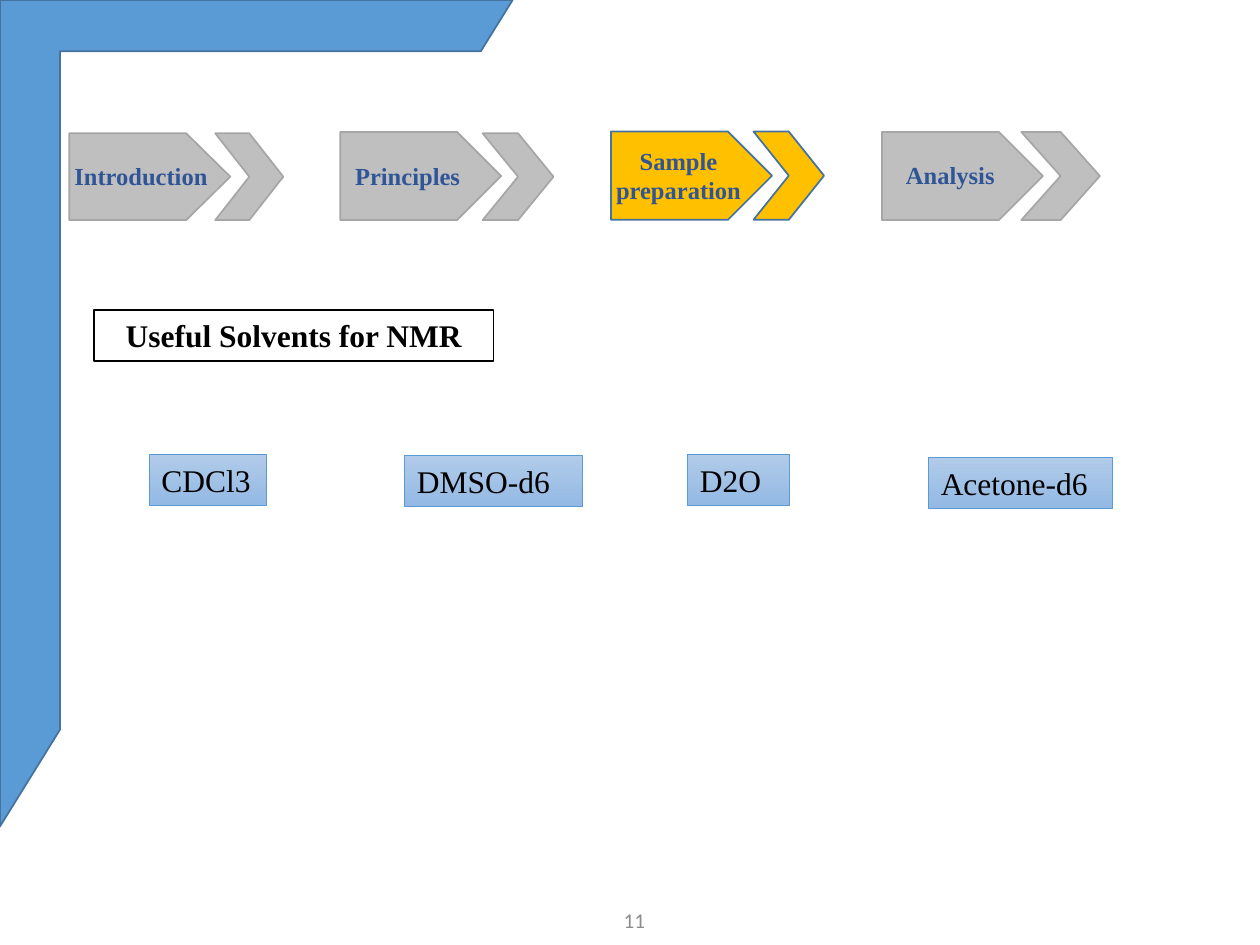
from dataclasses import dataclass

from pptx import Presentation
from pptx.dml.color import RGBColor
from pptx.enum.shapes import MSO_SHAPE
from pptx.enum.text import MSO_ANCHOR, MSO_AUTO_SIZE, PP_ALIGN
from pptx.util import Pt


@dataclass(frozen=True)
class Theme:
    serif: str = "Times New Roman"
    sans: str = "Calibri"
    blue: str = "5B9BD5"
    blue_edge: str = "43739E"
    grey: str = "BFBFBF"
    grey_edge: str = "A6A6A6"
    active: str = "FFC000"
    label: str = "2F5597"
    black: str = "000000"
    white: str = "FFFFFF"
    muted: str = "8C8C8C"
    solvent_top: str = "B1CBE9"
    solvent_bottom: str = "93B9E4"
    heading_size: int = 18
    label_size: int = 14
    number_size: int = 12


THEME = Theme()


def rgb(value):
    return RGBColor.from_string(value)


def paint(shape, fill, line, width=1):
    shape.fill.solid()
    shape.fill.fore_color.rgb = rgb(fill)
    outline(shape, line, width)


def outline(shape, color, width):
    shape.line.color.rgb = rgb(color)
    shape.line.width = Pt(width)


def add_shape(slide, kind, box):
    shape = slide.shapes.add_shape(kind, *map(Pt, box))
    shape.shadow.inherit = False
    return shape


def write(shape, text, size, color, font=THEME.serif, bold=False, align=PP_ALIGN.CENTER):
    tf = shape.text_frame
    tf.word_wrap = True
    tf.auto_size = MSO_AUTO_SIZE.NONE
    tf.vertical_anchor = MSO_ANCHOR.MIDDLE
    if align == PP_ALIGN.LEFT:
        tf.margin_right = 0
    p = tf.paragraphs[0]
    p.text = text
    p.alignment = align
    p.font.name = font
    p.font.size = Pt(size)
    p.font.bold = bold
    p.font.color.rgb = rgb(color)


def add_text(slide, box, *args, **kwargs):
    write(slide.shapes.add_textbox(*map(Pt, box)), *args, **kwargs)


def pentagon_points(x, y, w, bottom):
    middle = (y + bottom) / 2
    shoulder = x + w - 25.2
    return [(shoulder, y), (x, y), (x, bottom), (shoulder, bottom), (x + w, middle)]


def chevron_points(x, y, w, bottom):
    middle = (y + bottom) / 2
    notch = x + w / 2
    return [(notch, y), (x, y), (notch, middle), (x, bottom), (notch, bottom), (x + w, middle)]


def add_outline(slide, contours):
    """Draw all contours, given in points, as one freeform."""
    first, *others = [[(Pt(x), Pt(y)) for x, y in points] for points in contours]
    builder = slide.shapes.build_freeform(*first[0])
    builder.add_line_segments(first[1:], close=True)
    for points in others:
        builder.move_to(*points[0])
        builder.add_line_segments(points[1:], close=True)
    shape = builder.convert_to_shape()
    shape.shadow.inherit = False
    return shape


def add_progress(slide, box):
    """Four steps at an equal pitch; the grey ones form a single outline."""
    left, top, width, height = box
    pitch, step_w = 154.8, 92
    bottom = top + height
    # step: pentagon drop, chevron offset, drop and width, active
    steps = [(0.8, 83.4, 0.8, 38.9, False), (0, 81.4, 0.8, 40.5, False),
             (0, 81.4, 0, 40.3, True), (0, 79.6, 0, 44.9, False)]
    contours = []
    for i, (drop, offset, chevron_drop, chevron_w, active) in enumerate(steps):
        x = left + i * pitch
        if active:
            for kind, dx, w in ((MSO_SHAPE.PENTAGON, 0, step_w),
                                (MSO_SHAPE.CHEVRON, offset, chevron_w)):
                paint(add_shape(slide, kind, (x + dx, top - 0.2, w, height)),
                      THEME.active, THEME.blue_edge)
        else:
            contours += [pentagon_points(x, top + drop, step_w, bottom),
                         chevron_points(x + offset, top + chevron_drop, chevron_w, bottom)]
    paint(add_outline(slide, contours), THEME.grey, THEME.grey_edge)

    # label: offset from the progress box, size, alignment
    labels = [("Introduction", -4.2, 12.7, 90.7, 24.5, PP_ALIGN.LEFT),
              ("Principles", 153.4, 12.7, 79.9, 24.5, PP_ALIGN.CENTER),
              ("Sample preparation", 301.7, 4.3, 92.9, 41, PP_ALIGN.CENTER),
              ("Analysis", 471, 12.2, 82.8, 24.5, PP_ALIGN.LEFT)]
    for text, dx, dy, w, h, align in labels:
        add_text(slide, (left + dx, top + dy, w, h), text, THEME.label_size,
                 THEME.label, bold=True, align=align)


def add_corner_frame(slide, box):
    frame = add_shape(slide, MSO_SHAPE.HALF_FRAME, box)
    frame.adjustments[0] = 0.1
    frame.adjustments[1] = 0.117
    paint(frame, THEME.blue, THEME.blue_edge)


def place_heading(slide, box, text):
    title = slide.shapes.title
    title.left, title.top, title.width, title.height = map(Pt, box)
    paint(title, THEME.white, THEME.black)
    write(title, text, THEME.heading_size, THEME.black, bold=True)


def add_solvents(slide, box):
    left, top, width, height = box
    solvents = [("CDCl3", 0, 0, 67), ("DMSO-d6", 146, 0.6, 101.4),
                ("D2O", 307.7, 0, 58.5), ("Acetone-d6", 445.3, 1.6, 105.3)]
    for text, dx, dy, w in solvents:
        solvent = add_shape(slide, MSO_SHAPE.RECTANGLE, (left + dx, top + dy, w, height))
        solvent.fill.gradient()
        solvent.fill.gradient_angle = 270
        stops = solvent.fill.gradient_stops
        for stop, color, position in zip(stops, (THEME.solvent_top, THEME.solvent_bottom), (0, 1)):
            stop.color.rgb = rgb(color)
            stop.position = position
        outline(solvent, THEME.blue, 0.5)
        write(solvent, text, THEME.heading_size, THEME.black, align=PP_ALIGN.LEFT)


def main():
    prs = Presentation()
    prs.slide_width, prs.slide_height = Pt(720), Pt(540)
    slide = prs.slides.add_slide(prs.slide_layouts[5])
    add_progress(slide, (39.6, 75.4, 588.5, 50.4))
    add_corner_frame(slide, (0, 0, 293, 472.3))
    place_heading(slide, (53.8, 177.1, 228.2, 29.1), "Useful Solvents for NMR")
    add_solvents(slide, (85.2, 259.7, 550.6, 29.1))
    add_text(slide, (281.5, 511.2, 162, 28.8), "11", THEME.number_size,
             THEME.muted, font=THEME.sans)
    prs.save("out.pptx")


if __name__ == "__main__":
    main()
